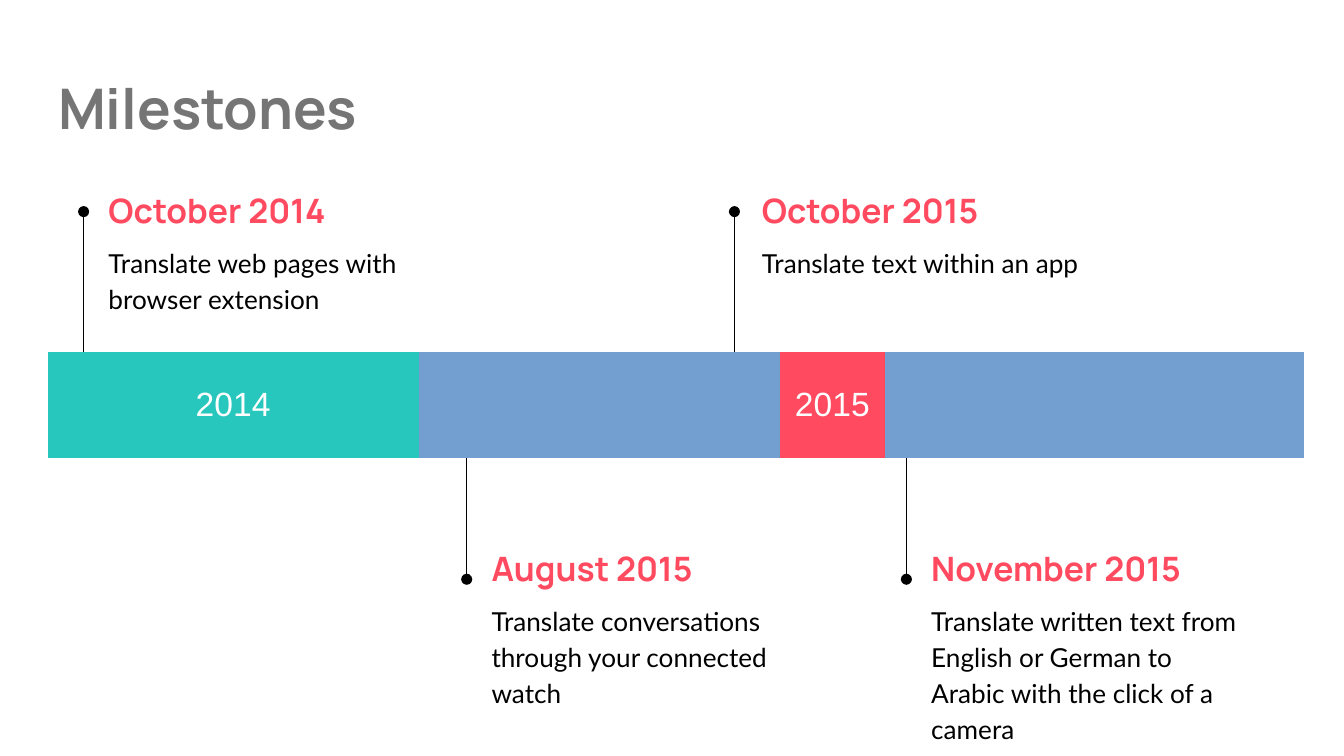
from lxml.etree import SubElement
from pptx import Presentation
from pptx.dml.color import RGBColor
from pptx.enum.shapes import MSO_CONNECTOR
from pptx.enum.text import MSO_ANCHOR, PP_ALIGN
from pptx.oxml.ns import qn
from pptx.util import Cm, Pt

THEME = {
    "green": RGBColor.from_string("27C7BD"),
    "blue": RGBColor.from_string("729FCF"),
    "red": RGBColor.from_string("FF4A60"),
    "line": RGBColor.from_string("000000"),
    "title": {"name": "Manrope", "size": Pt(30), "bold": True, "color": "757575"},
    "heading": {"name": "Manrope", "size": Pt(18), "bold": True, "color": "FF4A60"},
    "body": {"name": "Lato", "size": Pt(14), "bold": False, "color": "000000"},
    "year": {"name": "Arial", "size": Pt(18), "bold": False, "color": "FFFFFF"},
}
MARGINS = {f"margin_{side}": Cm(0.25) for side in ("left", "right", "top", "bottom")}


def format_font(paragraph, style):
    for attribute, value in THEME[style].items():
        if attribute == "color":
            paragraph.font.color.rgb = RGBColor.from_string(value)
        else:
            setattr(paragraph.font, attribute, value)


def add_text(slide, text, style, left, top, width, height,
             anchor=MSO_ANCHOR.TOP, line_spacing=1.0):
    shape = slide.shapes.add_textbox(Cm(left), Cm(top), Cm(width), Cm(height))
    frame_format = {"word_wrap": True, "vertical_anchor": anchor, **MARGINS}
    for attribute, value in frame_format.items():
        setattr(shape.text_frame, attribute, value)
    paragraph = shape.text_frame.paragraphs[0]
    paragraph.text = text
    paragraph.line_spacing = line_spacing
    format_font(paragraph, style)


presentation = Presentation()
presentation.slide_width = Cm(25.4)
presentation.slide_height = Cm(14.29)
slide = presentation.slides.add_slide(presentation.slide_layouts[6])

# Title
add_text(slide, "Milestones", "title", 0.85, 1.15, 23.67, 1.78)

# Timeline band: one column a month, merged into years
month_widths = [1.98] * 3 + [1.07, 2.87] + [1.98] * 7
band_left, band_top, band_height = 0.9, 6.65, 2.01
band = slide.shapes.add_table(1, len(month_widths), Cm(band_left), Cm(band_top),
                              Cm(sum(month_widths)), Cm(band_height)).table
band.first_row = False
band.horz_banding = False
band.rows[0].height = Cm(band_height)
for index, width in enumerate(month_widths):
    band.columns[index].width = Cm(width)
    cell = band.cell(0, index)
    for attribute, value in {"vertical_anchor": MSO_ANCHOR.MIDDLE, **MARGINS}.items():
        setattr(cell, attribute, value)
    properties = cell._tc.get_or_add_tcPr()
    for border in ("a:lnL", "a:lnR", "a:lnT", "a:lnB"):
        SubElement(SubElement(properties, qn(border), w="0"), qn("a:noFill"))
    cell.fill.solid()
    cell.fill.fore_color.rgb = THEME["blue"]

# Years: text, fill, first and last month column
for year, color, first, last in [("2014", "green", 0, 3), ("2015", "red", 4, 11)]:
    cell = band.cell(0, first)
    cell.merge(band.cell(0, last))
    cell.fill.fore_color.rgb = THEME[color]
    paragraph = cell.text_frame.paragraphs[0]
    paragraph.text = year
    paragraph.alignment = PP_ALIGN.CENTER
    format_font(paragraph, "year")

# Milestones: date, description, stem position, text position, side of the band
milestones = [
    ("October 2014", "Translate web pages with browser extension", 1.58, 1.8, "above"),
    ("August 2015", "Translate conversations through your connected watch", 8.82, 9.04, "below"),
    ("October 2015", "Translate text within an app", 13.88, 14.15, "above"),
    ("November 2015",
     "Translate written text from English or German to Arabic with the click of a camera",
     17.13, 17.35, "below"),
]
# Stem start, stem end and heading top on each side
sides = {
    "above": (band_top, 4.0, 3.43),
    "below": (band_top + band_height, 10.95, 10.19),
}
for date, description, stem_left, text_left, side in milestones:
    stem_start, stem_end, heading_top = sides[side]
    stem = slide.shapes.add_connector(MSO_CONNECTOR.STRAIGHT, Cm(stem_left), Cm(stem_start),
                                      Cm(stem_left), Cm(stem_end))
    stem.line.color.rgb = THEME["line"]
    stem.line.width = Pt(0.75)
    SubElement(stem.line._get_or_add_ln(), qn("a:tailEnd"), type="oval", w="med", len="med")
    SubElement(stem._element.spPr, qn("a:effectLst"))
    add_text(slide, date, "heading", text_left, heading_top, 6.5, 1.09, MSO_ANCHOR.MIDDLE)
    add_text(slide, description, "body", text_left, heading_top + 0.91, 6.5, 1.6,
             line_spacing=1.15)

presentation.save("out.pptx")
